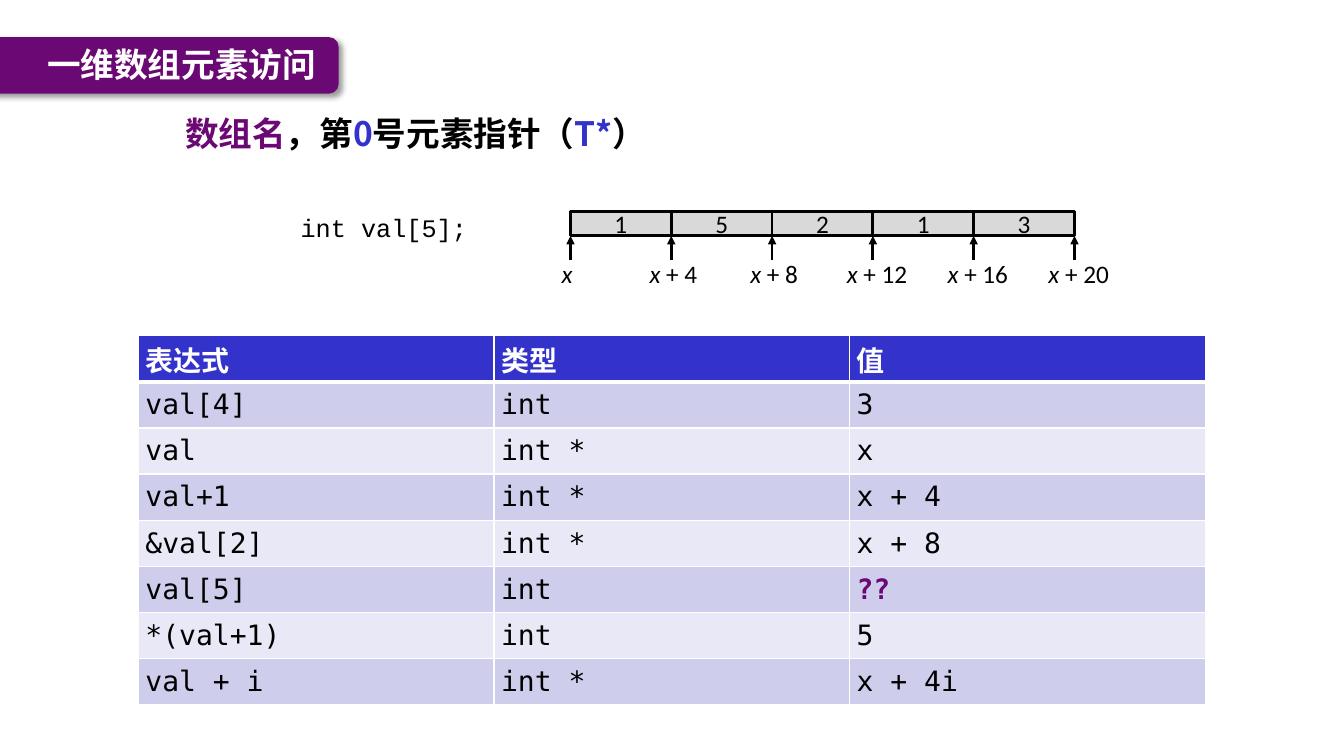
from lxml import etree
from pptx import Presentation
from pptx.dml.color import RGBColor
from pptx.enum.shapes import MSO_CONNECTOR, MSO_SHAPE
from pptx.enum.text import MSO_ANCHOR, PP_ALIGN
from pptx.oxml.ns import qn
from pptx.util import Pt

STRAIGHT = MSO_CONNECTOR.STRAIGHT
RECTANGLE, ROUNDED = MSO_SHAPE.RECTANGLE, MSO_SHAPE.ROUNDED_RECTANGLE
MIDDLE, TOP = MSO_ANCHOR.MIDDLE, MSO_ANCHOR.TOP
LEFT, CENTER, RIGHT, JUSTIFY = PP_ALIGN.LEFT, PP_ALIGN.CENTER, PP_ALIGN.RIGHT, PP_ALIGN.JUSTIFY

COLORS = {
    "black": "000000", "white": "FFFFFF", "purple": "6B0874", "banner": "6A0874",
    "blue": "3333CC", "gray": "D9D9D9", "band_dark": "CECEEC", "band_light": "E8E8F6",
}
CJK, CODE, LABEL, MONO = "Noto Sans CJK SC", "Courier New", "Calibri", "DejaVu Sans Mono"

CELL_LEFT, CELL_TOP, CELL_WIDTH, CELL_HEIGHT = 407.5, 151.2, 72, 17.3
VALUES = ["1", "5", "2", "1", "3"]
# Text after the italic x, and how far the label's centre sits from its arrow
ADDRESSES = [("", -2.5), (" + 4", 1.5), (" + 8", 1.5),
             (" + 12", 3), (" + 16", 3), (" + 20", 3)]

EXPRESSIONS = [
    ("表达式", "类型", "值"),
    ("val[4]", "int", "3"),
    ("val", "int *", "x"),
    ("val+1", "int *", "x + 4"),
    ("&val[2]", "int *", "x + 8"),
    ("val[5]", "int", "??"),
    ("*(val+1)", "int", "5"),
    ("val + i", "int *", "x + 4i"),
]


def rgb(name):
    return RGBColor.from_string(COLORS[name])


def add_span(para, text, font, size, color="black", bold=False, italic=False):
    span = para.add_run()
    span.text = text
    span.font.name = font
    span.font.size = Pt(size)
    span.font.bold = bold
    span.font.italic = italic
    span.font.color.rgb = rgb(color)
    if font in (CJK, "Arial"):
        east_asian = etree.SubElement(span.font._element, qn("a:ea"))
        east_asian.set("typeface", CJK)


def add_text(page, left, top, width, height, align=LEFT, anchor=TOP):
    """Add an empty text box and return its first paragraph."""
    box = page.shapes.add_textbox(Pt(left), Pt(top), Pt(width), Pt(height))
    box.text_frame.word_wrap = True
    box.text_frame.vertical_anchor = anchor
    para = box.text_frame.paragraphs[0]
    para.alignment = align
    return para


def add_banner(page):
    banner = page.shapes.add_shape(ROUNDED, Pt(-14.4), Pt(26.6), Pt(256.3), Pt(40.3))
    banner.shadow.inherit = False
    banner.fill.solid()
    banner.fill.fore_color.rgb = rgb("banner")
    banner.line.fill.background()
    effects = banner._element.spPr.find(qn("a:effectLst"))
    shadow = etree.SubElement(effects, qn("a:outerShdw"), blurRad=str(Pt(4)),
                              dist=str(Pt(3)), dir="2700000", algn="tl", rotWithShape="0")
    tint = etree.SubElement(shadow, qn("a:srgbClr"), val=COLORS["black"])
    etree.SubElement(tint, qn("a:alpha"), val="40000")
    title = add_text(page, 26.6, 26, 215.3, 39.6, anchor=MIDDLE)
    add_span(title, "一维数组元素访问", CJK, 24, "white", bold=True)


def add_heading(page):
    para = add_text(page, 98.6, 77, 635, 62)
    para._p.get_or_add_pPr().set("marL", str(Pt(26.6)))
    for text, color in [("数组名", "purple"), ("，第", "black"), ("0", "blue"),
                        ("号元素指针（", "black"), ("T*", "blue"), ("）", "black")]:
        add_span(para, text, CJK, 24, color, bold=True)


def add_array_cell(page, left, value):
    cell = page.shapes.add_shape(RECTANGLE, Pt(left), Pt(CELL_TOP),
                                 Pt(CELL_WIDTH), Pt(CELL_HEIGHT))
    cell.shadow.inherit = False
    cell.fill.solid()
    cell.fill.fore_color.rgb = rgb("gray")
    cell.line.color.rgb = rgb("black")
    cell.line.width = Pt(2)
    frame = cell.text_frame
    frame.word_wrap = False
    frame.vertical_anchor = MIDDLE
    frame.margin_top = frame.margin_bottom = 0
    frame.paragraphs[0].alignment = CENTER
    add_span(frame.paragraphs[0], value, LABEL, 18)


def add_address(page, x, offset, shift):
    """Add an arrow up to the cell edge at x and the address below it."""
    tip = CELL_TOP + CELL_HEIGHT
    arrow = page.shapes.add_connector(STRAIGHT, Pt(x), Pt(tip + 17.5), Pt(x), Pt(tip))
    arrow.line.color.rgb = rgb("black")
    arrow.line.width = Pt(2)
    etree.SubElement(arrow.line._get_or_add_ln(), qn("a:tailEnd"), type="triangle")
    etree.SubElement(arrow._element.spPr, qn("a:effectLst"))
    para = add_text(page, x + shift - 39, tip + 12.7, 78, 29, CENTER)
    add_span(para, "x", LABEL, 18, italic=True)
    if offset:
        add_span(para, offset, LABEL, 18)


def add_array(page):
    declaration = add_text(page, 206.6, 148.3, 134, 29, RIGHT)
    add_span(declaration, "int val[5];", CODE, 18)
    for index, value in enumerate(VALUES):
        add_array_cell(page, CELL_LEFT + index * CELL_WIDTH, value)
    for index, (offset, shift) in enumerate(ADDRESSES):
        add_address(page, CELL_LEFT + index * CELL_WIDTH, offset, shift)


def set_borders(cell, top, bottom):
    widths = {"a:lnL": 1, "a:lnR": 1, "a:lnT": top, "a:lnB": bottom}
    for tag, width in widths.items():
        line = etree.SubElement(cell._tc.get_or_add_tcPr(), qn(tag), w=str(Pt(width)))
        fill = etree.SubElement(line, qn("a:solidFill"))
        etree.SubElement(fill, qn("a:srgbClr"), val=COLORS["white"])


def fill_cell(cell, row, text):
    set_borders(cell, top=3 if row == 1 else 1, bottom=3 if row == 0 else 1)
    cell.fill.solid()
    band = "band_dark" if row % 2 else "band_light"
    cell.fill.fore_color.rgb = rgb("blue" if row == 0 else band)
    cell.vertical_anchor = MIDDLE
    cell.margin_left = cell.margin_right = Pt(5)
    cell.margin_top = cell.margin_bottom = 0
    para = cell.text_frame.paragraphs[0]
    para.alignment = JUSTIFY
    if row == 0:
        add_span(para, text, "Arial", 20, "white", bold=True)
    elif text == "??":
        add_span(para, text, MONO, 20, "purple", bold=True)
    else:
        add_span(para, text, MONO, 20)


def add_expression_table(page):
    rows, columns = len(EXPRESSIONS), len(EXPRESSIONS[0])
    table = page.shapes.add_table(rows, columns, Pt(98.9), Pt(239.8),
                                  Pt(762), Pt(263.5)).table
    table.first_row = table.horz_banding = False
    for column in table.columns:
        column.width = Pt(254)
    for row, texts in enumerate(EXPRESSIONS):
        table.rows[row].height = Pt(32.94)
        for column, text in enumerate(texts):
            fill_cell(table.cell(row, column), row, text)


def main():
    deck = Presentation()
    deck.slide_width, deck.slide_height = Pt(960), Pt(540)
    page = deck.slides.add_slide(deck.slide_layouts[6])
    add_heading(page)
    add_array(page)
    add_banner(page)
    add_expression_table(page)
    deck.save("out.pptx")


if __name__ == "__main__":
    main()
